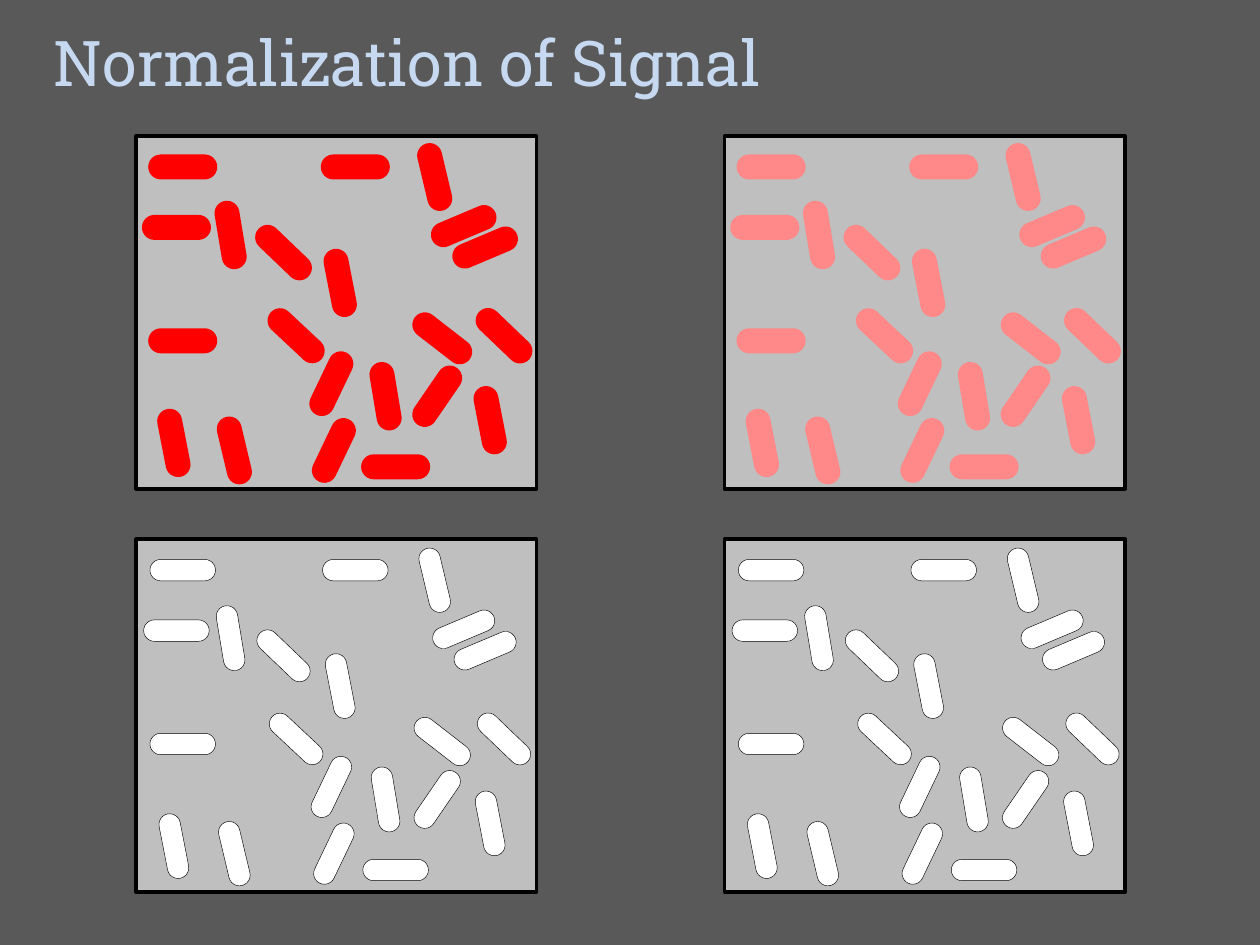
from pptx import Presentation
from pptx.dml.color import RGBColor
from pptx.enum.shapes import MSO_SHAPE as Kind
from pptx.enum.text import MSO_AUTO_SIZE as Fit
from pptx.util import Inches, Pt

COLS, ROWS = 1000, 750
LEFT, TOP = 108, 108
STEP, DROP = 467, 320
WIDE, HIGH = 318, 280
LONG, THIN = 52, 17

RODS = [
    (49, 70, 80.5), (136, 108, 79), (91, 84, 43.8), (101, 150, 43.1),
    (129, 188, 115.6), (172, 198, 80.5), (234, 63, 337.1), (11, 154, 0),
    (217, 152, 37.8), (6, 64, 0), (213, 198, 304.4), (131, 241, 115.6),
    (251, 80, 337.1), (4, 235, 79), (11, 16, 0), (52, 241, 76.6),
    (266, 150, 43.8), (148, 16, 0), (255, 217, 79), (180, 254, 0),
    (211, 24, 76.6),
]

PANELS = [
    (1, 0, "FF8989", "FF8989", 2, True),
    (0, 0, "FF0000", "FF0000", 2, True),
    (1, 1, "FFFFFF", "000000", 0.25, False),
    (0, 1, "FFFFFF", "000000", 0.25, False),
]


def color(code):
    return RGBColor.from_string(code)


class Deck:
    font = "Roboto Slab"
    ink = "C6D9F1"
    back = "595959"
    tray = "BFBFBF"
    edge = "000000"

    def __init__(self):
        self.deck = Presentation()
        self.deck.slide_width = Inches(10)
        self.deck.slide_height = Inches(7.5)
        self.slide = self.deck.slides.add_slide(self.deck.slide_layouts[6])
        fill = self.slide.background.fill
        fill.solid()
        fill.fore_color.rgb = color(self.back)

    def grid(self, x, y, w, h):
        col = self.deck.slide_width / COLS
        row = self.deck.slide_height / ROWS
        return round(x * col), round(y * row), round(w * col), round(h * row)

    def title(self, text, x, y, w, h, size):
        box = self.slide.shapes.add_textbox(*self.grid(x, y, w, h))
        frame = box.text_frame
        frame.word_wrap = True
        frame.auto_size = Fit.SHAPE_TO_FIT_TEXT
        frame.text = text
        font = frame.paragraphs[0].runs[0].font
        font.name = self.font
        font.size = Pt(size)
        font.color.rgb = color(self.ink)

    def shape(self, home, kind, area, fill, line, width):
        shape = home.add_shape(kind, *self.grid(*area))
        shape.shadow.inherit = False
        shape.fill.solid()
        shape.fill.fore_color.rgb = color(fill)
        shape.line.color.rgb = color(line)
        shape.line.width = Pt(width)
        return shape

    def rod(self, home, x, y, turn, fill, line, width):
        area = (x, y, LONG, THIN)
        rod = self.shape(home, Kind.ROUNDED_RECTANGLE, area, fill, line, width)
        rod.adjustments[0] = 0.5
        rod.rotation = turn

    def panel(self, col, row, fill, line, width, group):
        home = self.slide.shapes
        if group:
            home = home.add_group_shape().shapes
        x, y = LEFT + col * STEP, TOP + row * DROP
        area = (x, y, WIDE, HIGH)
        self.shape(home, Kind.RECTANGLE, area, self.tray, self.edge, 2)
        for dx, dy, turn in RODS:
            self.rod(home, x + dx, y + dy, turn, fill, line, width)


def main():
    deck = Deck()
    deck.title("Normalization of Signal", 33, 14, 942, 71, 36)
    for panel in PANELS:
        deck.panel(*panel)
    deck.deck.save("out.pptx")


if __name__ == "__main__":
    main()
